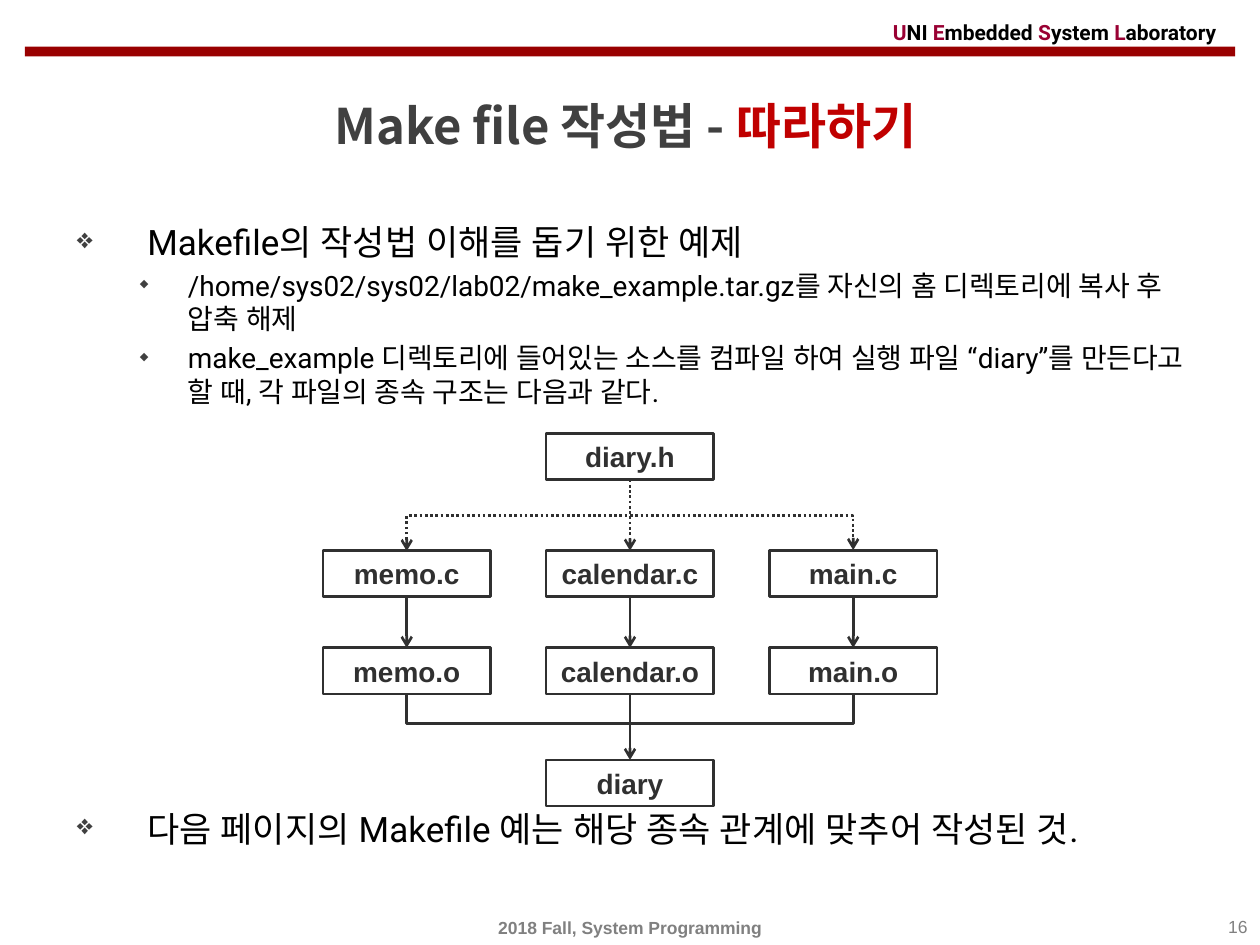
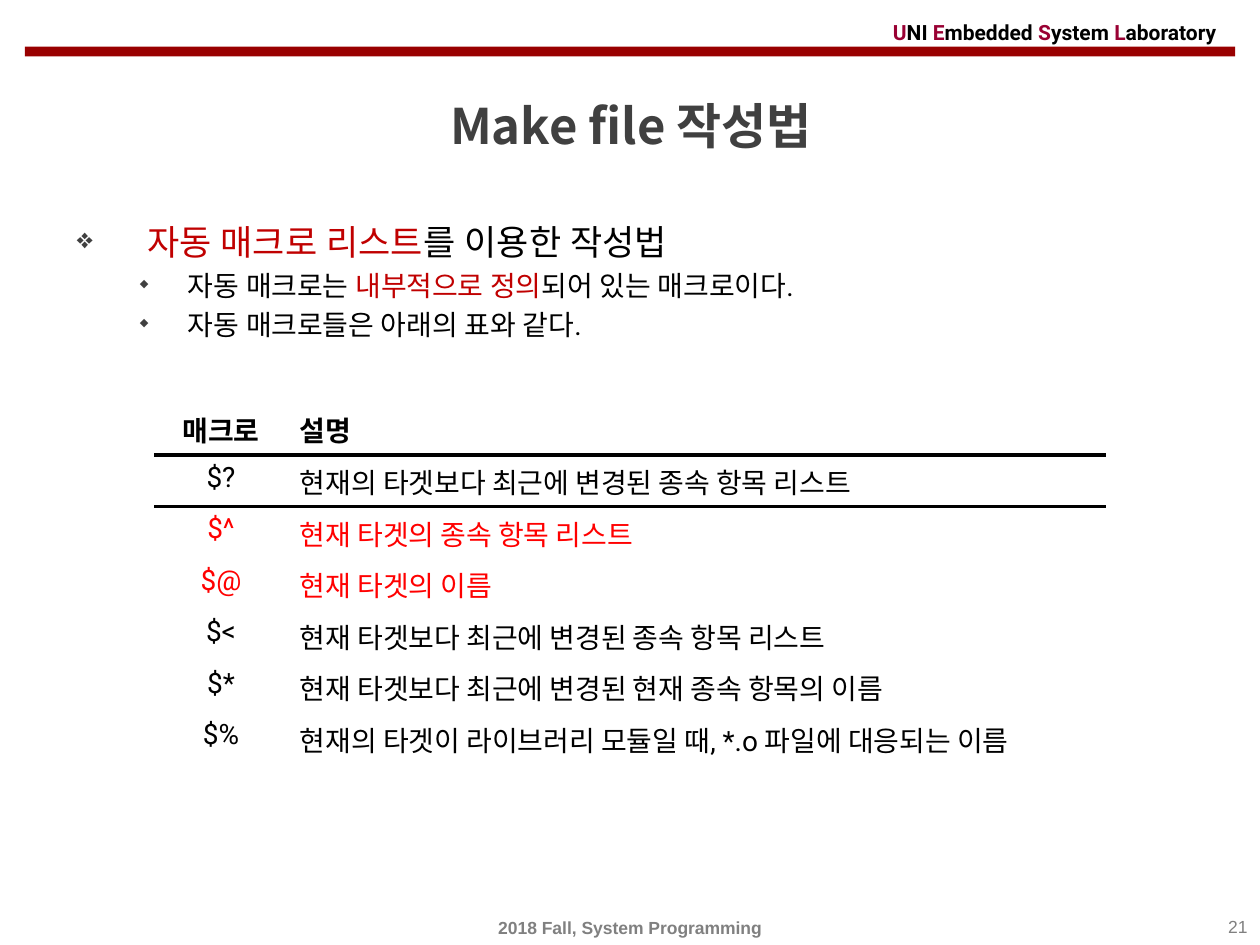
from lxml.etree import SubElement
from pptx import Presentation
from pptx.dml.color import RGBColor
from pptx.enum.dml import MSO_LINE
from pptx.enum.shapes import MSO_CONNECTOR, MSO_SHAPE
from pptx.enum.text import MSO_ANCHOR, PP_ALIGN
from pptx.oxml.ns import qn
from pptx.util import Cm, Pt

BLACK, WHITE, GRAY = "000000", "FFFFFF", "808080"
DARK, ACCENT, RED = "404040", "C00000", "FF0000"
BAND, INITIAL, DIAGRAM = "990000", "990033", "303030"
BODY_FONT, KOREAN_FONT, PLAIN_FONT = "Roboto", "Noto Sans CJK KR", "Arial"

SLIDE_WIDTH, SLIDE_HEIGHT = 25.4, 19.05
CENTER = SLIDE_WIDTH / 2

# Runs are (text, colour) pairs
LABORATORY = [("U", INITIAL), ("NI ", BLACK), ("E", INITIAL), ("mbedded ", BLACK),
              ("S", INITIAL), ("ystem ", BLACK), ("L", INITIAL), ("aboratory", BLACK)]
FOOTER = [("2018 Fall, System Programming", GRAY)]

# Bullet levels: text size, left indent, hanging indent, character, bullet size in percent
LEVELS = [(20, 1.42, 1.42, "❖", 80), (16, 2.24, 0.97, "◆", 40)]
BODY_TOP, CLOSING_TOP = 4.32, 16.15

EXAMPLE = {
    "number": "16",
    "title": [("Make file 작성법 - ", DARK), ("따라하기 ", ACCENT)],
    "bullets": [
        (0, [("Makefile의 작성법 이해를 돕기 위한 예제", BLACK)]),
        (1, [("/home/sys02/sys02/lab02/make_example.tar.gz를 자신의 홈 디렉토리에 "
              "복사 후 압축 해제", BLACK)]),
        (1, [("make_example 디렉토리에 들어있는 소스를 컴파일 하여 실행 파일 “diary”를 "
              "만든다고 할 때, 각 파일의 종속 구조는 다음과 같다.", BLACK)]),
    ],
    "closing": [(0, [("다음 페이지의 Makefile 예는 해당 종속 관계에 맞추어 작성된 것.", BLACK)])],
}
MACROS = {
    "number": "21",
    "title": [("Make file 작성법", DARK)],
    "bullets": [
        (0, [("자동 매크로 리스트", ACCENT), ("를 이용한 작성법", BLACK)]),
        (1, [("자동 매크로는 ", BLACK), ("내부적으로 정의", ACCENT),
             ("되어 있는 매크로이다.", BLACK)]),
        (1, [("자동 매크로들은 아래의 표와 같다.", BLACK)]),
    ],
}

HEADER_FILE, PROGRAM = "diary.h", "diary"
MODULES = ["memo", "calendar", "main"]
BOX_WIDTH, BOX_HEIGHT, COLUMN_STEP = 3.38, 0.93, 4.5
HEADER_TOP, SOURCE_TOP, OBJECT_TOP, PROGRAM_TOP = 8.74, 11.1, 13.06, 15.32

MACRO_ROWS = [
    ("매크로", "설명", BLACK),
    ("$?", "현재의 타겟보다 최근에 변경된 종속 항목 리스트", BLACK),
    ("$^", "현재 타겟의 종속 항목 리스트", RED),
    ("$@", "현재 타겟의 이름", RED),
    ("$<", "현재 타겟보다 최근에 변경된 종속 항목 리스트", BLACK),
    ("$*", "현재 타겟보다 최근에 변경된 현재 종속 항목의 이름", BLACK),
    ("$%", "현재의 타겟이 라이브러리 모듈일 때, *.o 파일에 대응되는 이름", BLACK),
]
MACRO_COLUMNS = [2.67, 16.49]
RULED_EDGES = (1, 2)  # horizontal table edges drawn in black, counted from the top


def color(value):
    """Turn a hex string into a colour."""
    return RGBColor.from_string(value)


def add_runs(paragraph, runs, size, font, bold=False, east_asian=None):
    """Add (text, colour) runs in one size and font."""
    for text, shade in runs:
        run = paragraph.add_run()
        run.text = text
        run.font.size, run.font.bold, run.font.name = Pt(size), bold, font
        run.font.color.rgb = color(shade)
        SubElement(run.font._element, qn("a:ea"), typeface=east_asian or font)


def add_text(slide, frame, runs, size, font, bold=False, align=PP_ALIGN.LEFT,
             anchor=MSO_ANCHOR.MIDDLE):
    """Add a one-paragraph text box; frame is left, top, width, height."""
    text_frame = slide.shapes.add_textbox(*map(Cm, frame)).text_frame
    text_frame.word_wrap, text_frame.vertical_anchor = True, anchor
    text_frame.paragraphs[0].alignment = align
    add_runs(text_frame.paragraphs[0], runs, size, font, bold)


def add_bullets(slide, top, height, bullets):
    """Add a text box of bulleted paragraphs."""
    box = slide.shapes.add_textbox(Cm(1.3), Cm(top), Cm(23.01), Cm(height))
    box.text_frame.word_wrap = True
    for index, (level, runs) in enumerate(bullets):
        size, indent, hanging, character, percent = LEVELS[level]
        paragraph = box.text_frame.add_paragraph() if index else box.text_frame.paragraphs[0]
        paragraph.level = level
        paragraph.space_before = Pt(size * 0.2)
        add_runs(paragraph, runs, size, BODY_FONT)
        properties = paragraph._p.get_or_add_pPr()
        properties.set("marL", str(Cm(indent)))
        properties.set("indent", str(-Cm(hanging)))
        bullet_color = SubElement(properties, qn("a:buClr"))
        SubElement(bullet_color, qn("a:srgbClr"), val=DARK)
        SubElement(properties, qn("a:buSzPct"), val=str(percent * 1000))
        SubElement(properties, qn("a:buChar"), char=character)


def add_slide(presentation, content):
    """Add a slide with the shared band, header, footer, and its title and bullets."""
    slide = presentation.slides.add_slide(presentation.slide_layouts[6])
    band = slide.shapes.add_shape(MSO_SHAPE.RECTANGLE, Cm(0.5), Cm(0.94), Cm(24.4), Cm(0.2))
    band.shadow.inherit = False
    band.fill.solid()
    band.fill.fore_color.rgb = color(BAND)
    band.line.fill.background()
    add_text(slide, (17.75, 0.3, 7.65, 0.71), LABORATORY, 12, BODY_FONT, bold=True)
    add_text(slide, (0.53, 1.52, 24.38, 2.01), content["title"], 28, KOREAN_FONT,
             bold=True, align=PP_ALIGN.CENTER)
    add_text(slide, (0, 18.34, SLIDE_WIDTH, 0.71), FOOTER, 10, PLAIN_FONT,
             bold=True, align=PP_ALIGN.CENTER)
    add_text(slide, (19.48, 18.34, 5.92, 0.71), [(content["number"], GRAY)], 10, PLAIN_FONT,
             align=PP_ALIGN.RIGHT, anchor=MSO_ANCHOR.TOP)
    add_bullets(slide, BODY_TOP, 4, content["bullets"])
    return slide


def add_file_box(slide, center, top, name):
    """Add an outlined box that names one file."""
    box = slide.shapes.add_shape(MSO_SHAPE.RECTANGLE, Cm(center - BOX_WIDTH / 2), Cm(top),
                                 Cm(BOX_WIDTH), Cm(BOX_HEIGHT))
    box.shadow.inherit = False
    box.fill.background()
    box.line.color.rgb, box.line.width = color(DIAGRAM), Pt(1.5)
    box.text_frame.word_wrap = False
    box.text_frame.vertical_anchor = MSO_ANCHOR.MIDDLE
    box.text_frame.paragraphs[0].alignment = PP_ALIGN.CENTER
    add_runs(box.text_frame.paragraphs[0], [(name, DIAGRAM)], 16, PLAIN_FONT, bold=True)


def add_link(slide, kind, start, end, arrows=(), dotted=False):
    """Add a connector; arrows lists the ends ("headEnd", "tailEnd") that carry one."""
    link = slide.shapes.add_connector(kind, *map(Cm, start + end))
    link.line.color.rgb, link.line.width = color(DIAGRAM), Pt(1.5)
    if dotted:
        link.line.dash_style = MSO_LINE.ROUND_DOT
    for arrow in arrows:
        SubElement(link.line._get_or_add_ln(), qn("a:" + arrow), type="arrow")
    SubElement(link._element.spPr, qn("a:effectLst"))
    return link


def add_bracket(slide, y, reach, upward=False, **style):
    """Join the outer columns at height y by an elbow that reaches up or down."""
    thickness = 0.02
    # A quarter turn makes the thin, tall elbow span the columns
    across, along = thickness / 2, COLUMN_STEP
    start, end = (CENTER - across, y - along), (CENTER + across, y + along)
    if upward:
        start, end = end, start
    link = add_link(slide, MSO_CONNECTOR.ELBOW, start, end, **style)
    link._element.spPr.find(qn("a:xfrm")).set("rot", str(90 * 60000))
    geometry = link._element.spPr.find(qn("a:prstGeom"))
    adjustments = geometry.find(qn("a:avLst"))
    if adjustments is None:
        adjustments = SubElement(geometry, qn("a:avLst"))
    SubElement(adjustments, qn("a:gd"), name="adj1",
               fmla=f"val {round(reach / thickness * 100000)}")


def add_dependency_diagram(slide):
    """Draw header file, sources, objects and program with their links."""
    straight, arrow = MSO_CONNECTOR.STRAIGHT, ["tailEnd"]
    add_file_box(slide, CENTER, HEADER_TOP, HEADER_FILE)
    add_file_box(slide, CENTER, PROGRAM_TOP, PROGRAM)
    for column, module in enumerate(MODULES):
        center = CENTER + (column - 1) * COLUMN_STEP
        add_file_box(slide, center, SOURCE_TOP, module + ".c")
        add_file_box(slide, center, OBJECT_TOP, module + ".o")
        add_link(slide, straight, (center, SOURCE_TOP + BOX_HEIGHT), (center, OBJECT_TOP), arrow)
    add_link(slide, straight, (CENTER, HEADER_TOP + BOX_HEIGHT), (CENTER, SOURCE_TOP),
             arrow, dotted=True)
    add_link(slide, straight, (CENTER, OBJECT_TOP + BOX_HEIGHT), (CENTER, PROGRAM_TOP), arrow)
    add_bracket(slide, SOURCE_TOP, 0.71, upward=True, arrows=["headEnd", "tailEnd"], dotted=True)
    add_bracket(slide, OBJECT_TOP + BOX_HEIGHT, 0.61)


def set_borders(cell, row):
    """Give a cell white borders, with black ones on the ruled edges."""
    properties = cell._tc.get_or_add_tcPr()
    edges = [("lnL", None), ("lnR", None), ("lnT", row), ("lnB", row + 1)]
    for tag, edge in edges:
        shade, width = (BLACK, 2.25) if edge in RULED_EDGES else (WHITE, 1)
        border = SubElement(properties, qn("a:" + tag), w=str(Pt(width)))
        fill = SubElement(border, qn("a:solidFill"))
        SubElement(fill, qn("a:srgbClr"), val=shade)


def add_macro_table(slide):
    """Add the table of automatic macros."""
    row_height = 1.04
    frame = slide.shapes.add_table(len(MACRO_ROWS), len(MACRO_COLUMNS), Cm(3.12), Cm(8.13),
                                   Cm(sum(MACRO_COLUMNS)), Cm(row_height * len(MACRO_ROWS)))
    table = frame.table
    table.first_row = table.horz_banding = False
    for column, width in zip(table.columns, MACRO_COLUMNS):
        column.width = Cm(width)
    for row, (macro, description, shade) in enumerate(MACRO_ROWS):
        for column, text in enumerate((macro, description)):
            cell = table.cell(row, column)
            set_borders(cell, row)
            cell.fill.background()
            paragraph = cell.text_frame.paragraphs[0]
            paragraph.alignment = PP_ALIGN.LEFT if column else PP_ALIGN.CENTER
            add_runs(paragraph, [(text, shade)], 16, BODY_FONT, bold=row == 0,
                     east_asian=KOREAN_FONT)


def main():
    """Build both slides and save them."""
    presentation = Presentation()
    presentation.slide_width, presentation.slide_height = Cm(SLIDE_WIDTH), Cm(SLIDE_HEIGHT)
    example = add_slide(presentation, EXAMPLE)
    add_bullets(example, CLOSING_TOP, 1.2, EXAMPLE["closing"])
    add_dependency_diagram(example)
    add_macro_table(add_slide(presentation, MACROS))
    presentation.save("out.pptx")


main()
